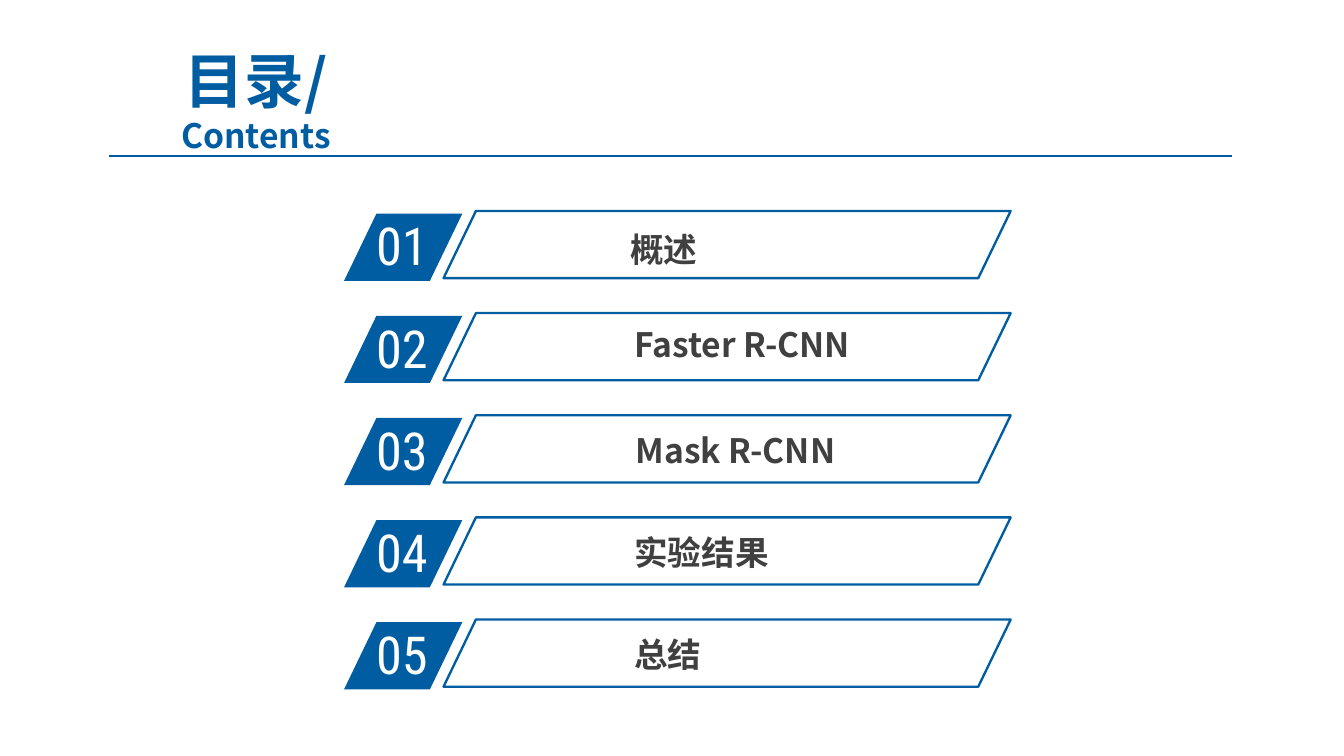
import pptx
import pptx.util
import pptx.dml.color
import pptx.enum.shapes
import pptx.enum.text
from lxml import etree

Inches, Pt = pptx.util.Inches, pptx.util.Pt
RGBColor = pptx.dml.color.RGBColor
LEFT, CENTER = pptx.enum.text.PP_ALIGN.LEFT, pptx.enum.text.PP_ALIGN.CENTER

TITLE, SUBTITLE = "目录/", "Contents"
# label, left edge, offset below the frame top, left inset, alignment
ENTRIES = [
    ("概述", 3.31, 0.09, 0.24, CENTER),
    ("Faster R-CNN", 4.65, 0.04, 0.07, LEFT),
    ("Mask R-CNN", 4.66, 0.07, 0.07, LEFT),
    ("实验结果", 4.65, 0.07, 0.07, LEFT),
    ("总结", 4.65, 0.07, 0.07, LEFT),
]

BLUE = RGBColor(0x00, 0x5D, 0xA2)
RULE_BLUE = RGBColor(0x00, 0x5B, 0x9E)
DARK_GRAY = RGBColor(0x40, 0x40, 0x40)
WHITE = RGBColor(0xFF, 0xFF, 0xFF)
CJK_FONT, NUMBER_FONT = "Noto Sans CJK SC", "Roboto Condensed"

SLIDE_WIDTH = Inches(10)
SLIDE_HEIGHT = SLIDE_WIDTH * 9 // 16
FIRST_ROW, ROW_PITCH, ROW_HEIGHT = 1.57, 0.76, 0.5
BADGE_LEFT, BADGE_WIDTH, BADGE_DROP = 2.56, 0.88, 0.02
FRAME_LEFT, FRAME_WIDTH = 3.3, 4.22
SLANT = 0.482


def add_run(paragraph, text, font_name, size, color, bold=False):
    run = paragraph.add_run()
    run.text = text
    font = run.font
    font.name, font.size, font.bold = font_name, Pt(size), bold
    font.color.rgb = color
    east_asian = etree.SubElement(font._element, pptx.oxml.ns.qn("a:ea"))
    east_asian.set("typeface", font_name)


def add_text_box(slide, left, top, width, height, alignment=LEFT):
    """Add a wrapping text box and return its text frame."""
    text_box = slide.shapes.add_textbox(*map(Inches, (left, top, width, height)))
    frame = text_box.text_frame
    frame.word_wrap = True
    frame.paragraphs[0].alignment = alignment
    return frame


def add_parallelogram(slide, left, top, width):
    shape = slide.shapes.add_shape(
        pptx.enum.shapes.MSO_SHAPE.PARALLELOGRAM,
        *map(Inches, (left, top, width, ROW_HEIGHT)))
    shape.adjustments[0] = SLANT
    shape.shadow.inherit = False
    return shape


def add_heading(slide):
    frame = add_text_box(slide, 0.67, 0.47, 2.47, 0.54, CENTER)
    frame.vertical_anchor = pptx.enum.text.MSO_ANCHOR.MIDDLE
    paragraph = frame.paragraphs[0]
    add_run(paragraph, TITLE, CJK_FONT, 32, BLUE, bold=True)
    paragraph.add_line_break()
    add_run(paragraph, SUBTITLE, CJK_FONT, 18, BLUE, bold=True)

    rule = slide.shapes.add_connector(
        pptx.enum.shapes.MSO_CONNECTOR.STRAIGHT,
        *map(Inches, (0.81, 1.16, 9.17, 1.16)))
    rule.line.color.rgb = RULE_BLUE
    rule.line.width = Pt(0.75)
    etree.SubElement(rule._element.spPr, pptx.oxml.ns.qn("a:effectLst"))


def add_entry(slide, index, label, label_left, label_drop, inset, alignment):
    top = FIRST_ROW + index * ROW_PITCH

    badge = add_parallelogram(slide, BADGE_LEFT, top + BADGE_DROP, BADGE_WIDTH)
    badge.fill.solid()
    badge.fill.fore_color.rgb = BLUE
    badge.line.fill.background()
    number = add_text_box(slide, 2.7, top - 0.03, 0.84, 0.49)
    add_run(number.paragraphs[0], f"{index + 1:02d}", NUMBER_FONT, 28, WHITE)

    caption = add_text_box(slide, label_left, top + label_drop, 3.09, 0.38, alignment)
    caption.margin_left, caption.margin_right = Inches(inset), Inches(0.07)
    caption.margin_top = caption.margin_bottom = Inches(0.04)
    add_run(caption.paragraphs[0], label, CJK_FONT, 18, DARK_GRAY, bold=True)

    outline = add_parallelogram(slide, FRAME_LEFT, top, FRAME_WIDTH)
    outline.fill.background()
    outline.line.color.rgb = BLUE
    outline.line.width = Pt(1.25)


def main():
    presentation = pptx.Presentation()
    presentation.slide_width, presentation.slide_height = SLIDE_WIDTH, SLIDE_HEIGHT
    slide = presentation.slides.add_slide(presentation.slide_layouts[6])
    add_heading(slide)
    for index, entry in enumerate(ENTRIES):
        add_entry(slide, index, *entry)
    presentation.save("out.pptx")


if __name__ == "__main__":
    main()
